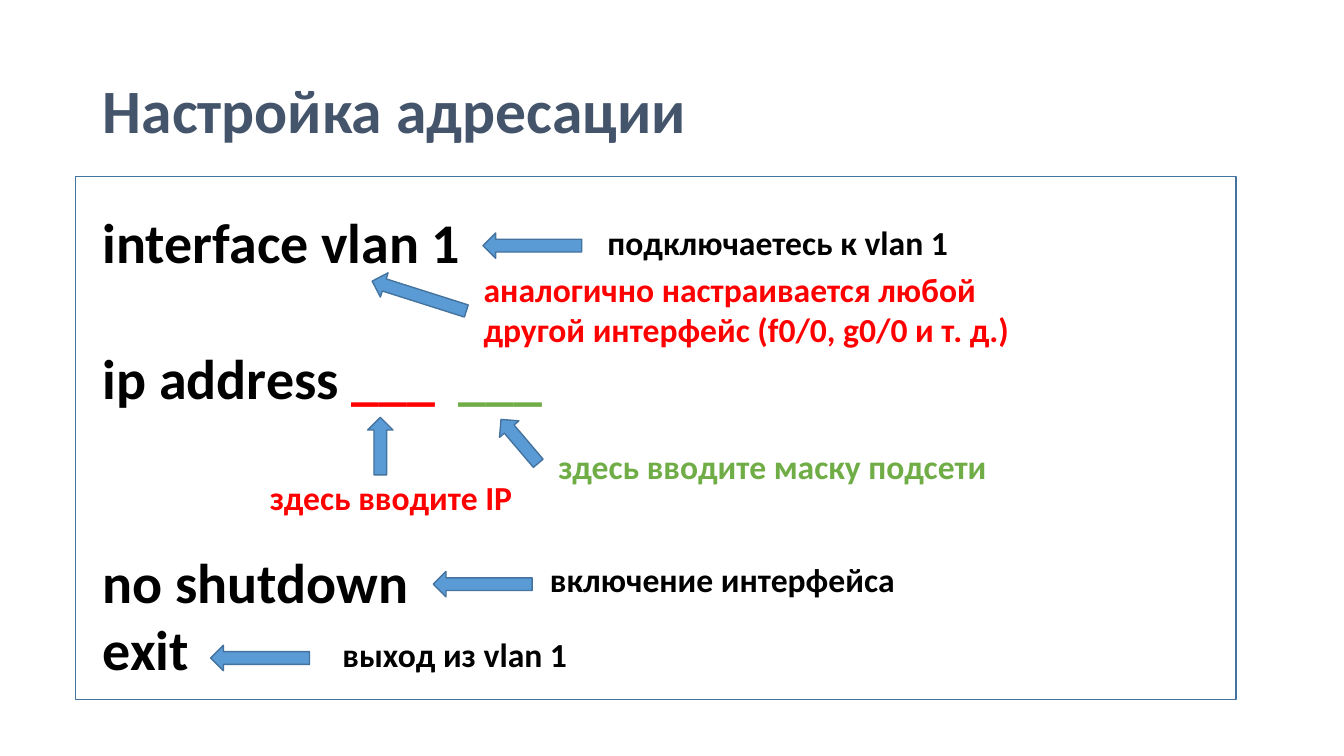
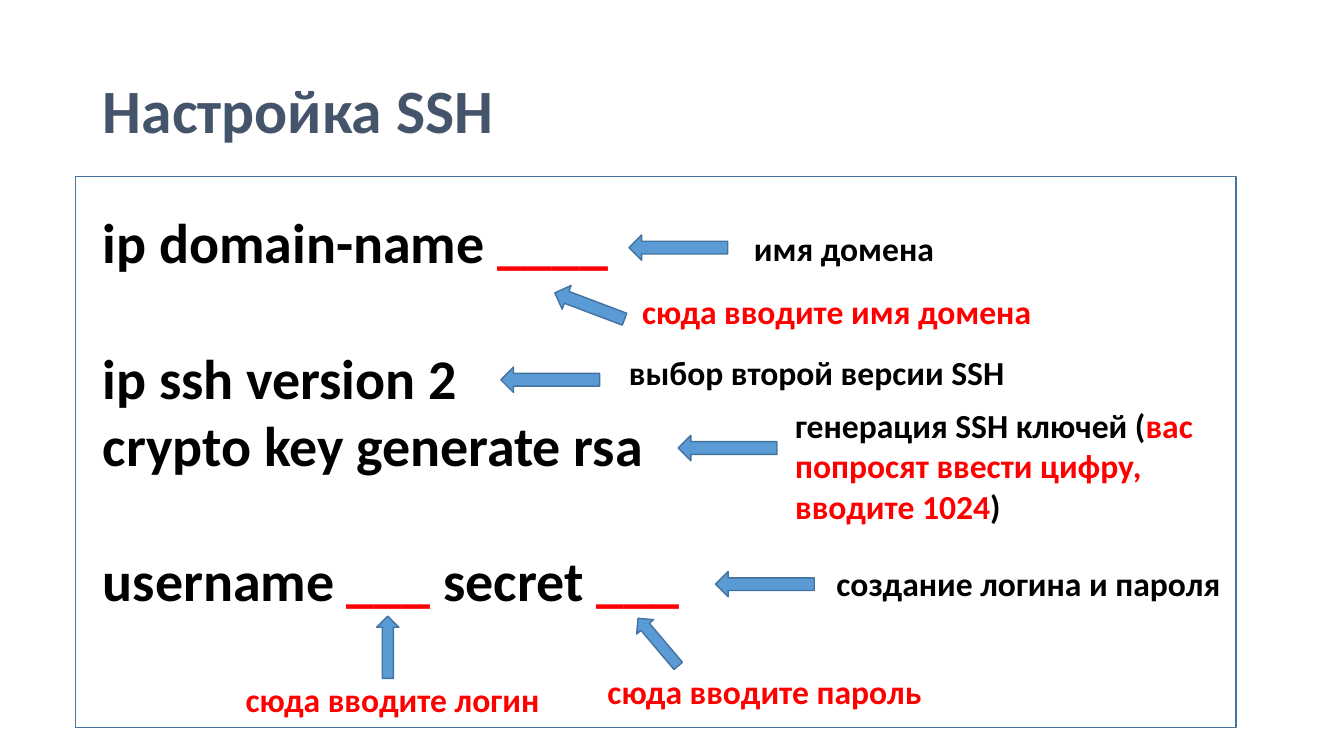
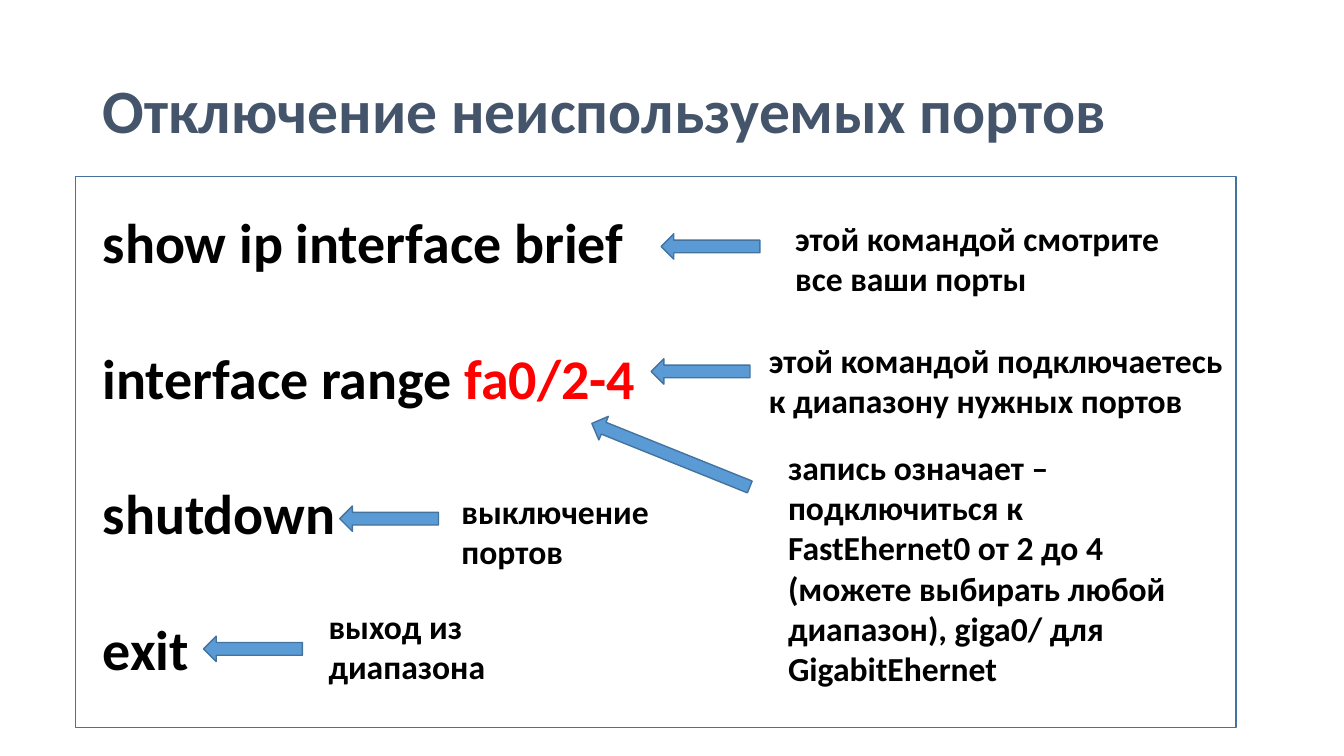
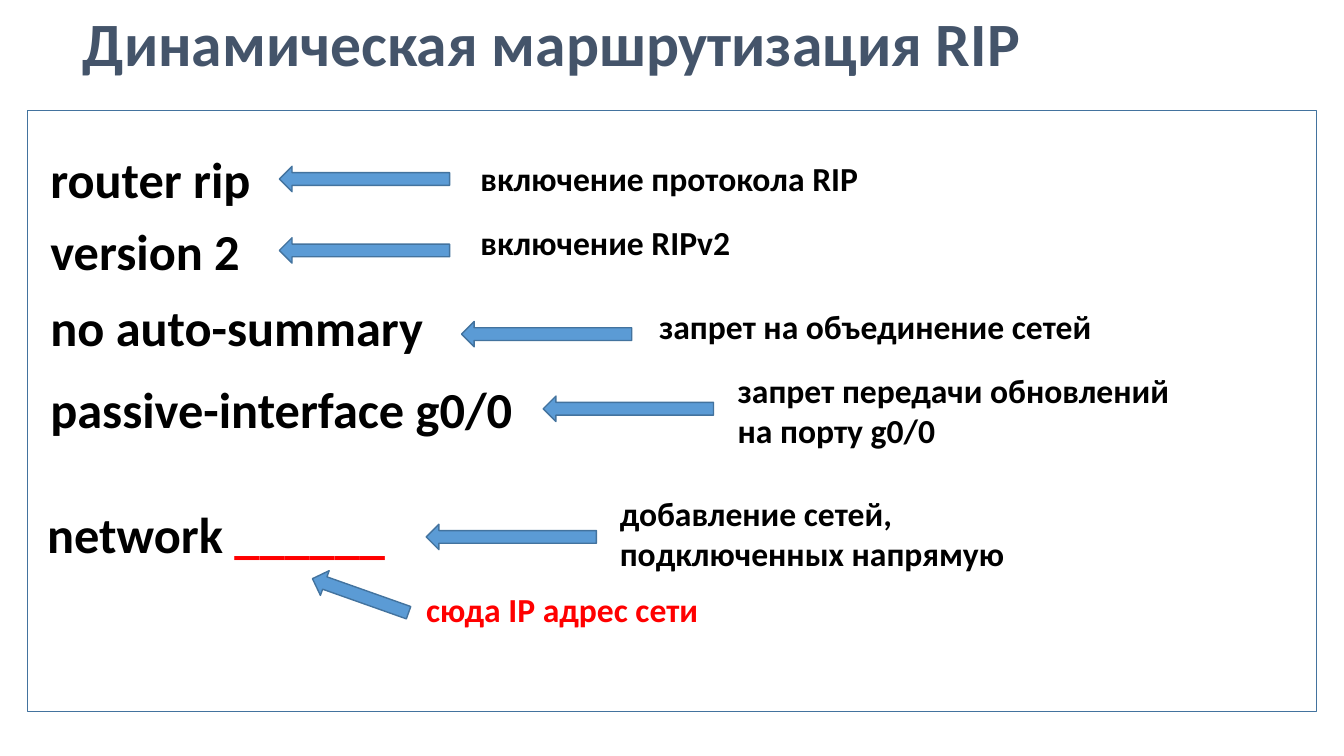
from lxml import etree
from pptx import Presentation
from pptx import util as u
from pptx.dml.color import RGBColor
from pptx.enum import shapes, text
from pptx.oxml.ns import qn

COLOURS = {
    "title": "44546A",
    "black": "000000",
    "red": "FF0000",
    "green": "70AD47",
    "arrow": "5B9BD5",
    "outline": "43739E",
}
FONT = "Calibri"
LINE_HEIGHT = 1.22      # line pitch as a multiple of the text size
MASK_TAB = 8.97         # tab stop before the subnet mask field, cm
SHORT, LONG = 2.49, 4.29  # the two usual arrow lengths, cm


def colour(name):
    return RGBColor.from_string(COLOURS[name])


class Lesson:
    """Holds the deck, its style and the current slide."""

    def __init__(self):
        self.deck = Presentation()
        self.deck.slide_width = u.Cm(33.87)
        self.deck.slide_height = u.Cm(19.05)
        self.page = None

    def start(self, heading, left=2.34, top=1.02):
        """Add a slide with its title."""
        self.page = self.deck.slides.add_slide(self.deck.slide_layouts[5])
        title = self.page.shapes.title
        title.left, title.top = u.Cm(left), u.Cm(top)
        title.width, title.height = u.Cm(29.21), u.Cm(3.68)
        frame = title.text_frame
        frame.auto_size = text.MSO_AUTO_SIZE.NONE
        frame.vertical_anchor = text.MSO_ANCHOR.MIDDLE
        para = frame.paragraphs[0]
        para.alignment = text.PP_ALIGN.LEFT
        para.line_spacing = 0.9
        self.span(para, heading, 44, "title")

    def span(self, para, words, size, tint):
        run = para.add_run()
        run.text = words
        run.font.name = FONT
        run.font.size = u.Pt(size)
        run.font.bold = True
        run.font.color.rgb = colour(tint)

    def preset(self, kind, left, top, width, height):
        """Add an outlined preset shape without shadow."""
        shape = self.page.shapes.add_shape(
            kind, u.Cm(left), u.Cm(top), u.Cm(width), u.Cm(height))
        shape.shadow.inherit = False
        shape.line.color.rgb = colour("outline")
        shape.line.width = u.Pt(1)
        return shape

    def border(self, height, left=1.91, top=4.45, width=29.24):
        box = self.preset(shapes.MSO_SHAPE.RECTANGLE, left, top, width, height)
        box.fill.background()

    def arrow(self, left, top, length=SHORT, angle=180, thickness=0.64):
        shape = self.preset(shapes.MSO_SHAPE.RIGHT_ARROW, left, top, length, thickness)
        shape.fill.solid()
        shape.fill.fore_color.rgb = colour("arrow")
        shape.rotation = angle

    def arrows(self, *places):
        for place in places:
            self.arrow(*place)

    def text(self, left, top, width, size, rows, lines):
        """Add text; a row is (empty lines above, span, ...), a span (words, colour)."""
        height = 0.25 + lines * u.Pt(size * LINE_HEIGHT).cm
        box = self.page.shapes.add_textbox(
            u.Cm(left), u.Cm(top), u.Cm(width), u.Cm(height))
        frame = box.text_frame
        frame.word_wrap = True
        frame.auto_size = text.MSO_AUTO_SIZE.SHAPE_TO_FIT_TEXT
        for index, (gap, *spans) in enumerate(rows):
            para = frame.add_paragraph() if index else frame.paragraphs[0]
            if gap:
                para.space_before = u.Pt(gap * size * LINE_HEIGHT)
            for words, tint in spans:
                if "\t" in words:
                    self.tab_stop(para)
                self.span(para, words, size, tint)

    def tab_stop(self, para):
        stops = etree.SubElement(para._p.get_or_add_pPr(), qn("a:tabLst"))
        etree.SubElement(stops, qn("a:tab"), pos=str(u.Cm(MASK_TAB)), algn="l")

    def commands(self, width, *rows):
        """Add the block of console commands."""
        self.text(2.34, 5.11, width, 40, rows, sum(row[0] + 1 for row in rows))

    def command(self, left, top, width, *spans):
        """Add a single console command."""
        self.text(left, top, width, 36, [(0, *spans)], 1)

    def note(self, left, top, paras, tint="black", width=12.01, lines=1):
        """Add an explanation, given as one string per paragraph."""
        rows = [(0, (words, tint)) for words in paras.split("\n")]
        self.text(left, top, width, 24, rows, lines)


def addressing(lesson):
    lesson.start("Настройка адресации")
    lesson.border(13.18)
    lesson.commands(
        14.71,
        (0, ("interface vlan 1", "black")),
        (1, ("ip address ", "black"), ("___\t", "red"), ("___", "green")),
        (2, ("no shutdown", "black")),
        (0, ("exit", "black")))
    lesson.arrows(
        (12.17, 5.87), (10.92, 14.4), (5.31, 16.26), (9.32, 7.14, SHORT, 197.6),
        (8.86, 10.92, 1.45, 270), (12.37, 10.8, 1.45, 229.7))
    lesson.note(15.06, 5.46, "подключаетесь к vlan 1", lines=2)
    lesson.note(11.94, 6.65,
                "аналогично настраивается любой другой интерфейс (f0/0, g0/0 и т. д.)",
                "red", width=15.16, lines=3)
    lesson.note(13.82, 11.1, "здесь вводите маску подсети", "green", width=17.07)
    lesson.note(6.55, 11.89, "здесь вводите IP", "red", width=6.99)
    lesson.note(13.61, 13.97, "включение интерфейса")
    lesson.note(8.38, 15.85, "выход из vlan 1")


def secure_shell(lesson):
    lesson.start("Настройка SSH")
    lesson.border(13.89)
    lesson.commands(
        17.27,
        (0, ("ip domain-name ", "black"), ("____", "red")),
        (1, ("ip ssh version 2", "black")),
        (0, ("crypto key generate rsa", "black")),
        (1, ("username", "black"), (" ___ ", "red"),
         ("secret ", "black"), ("___", "red")))
    lesson.arrows(
        (15.85, 5.92), (12.62, 9.25), (17.09, 10.97), (18.03, 14.4),
        (13.92, 7.39, 1.88, 200.7),
        (8.99, 16.03, 1.57, 270, 0.56), (15.8, 15.9, 1.57, 229.8, 0.56))
    lesson.note(18.75, 5.61, "имя домена")
    lesson.note(15.93, 7.21, "сюда вводите имя домена", "red", width=17.07)
    lesson.note(15.6, 8.74, "выбор второй версии SSH")
    key_note = (0, ("генерация SSH ключей (", "black"),
                ("вас попросят ввести цифру, вводите 1024", "red"), (")", "black"))
    lesson.text(19.79, 10.08, 12.01, 24, [key_note], 3)
    lesson.note(20.83, 14.07, "создание логина и пароля")
    lesson.note(5.94, 16.97, "сюда вводите логин", "red")
    lesson.note(15.06, 16.79, "сюда вводите пароль", "red")


def unused_ports(lesson):
    lesson.start("Отключение неиспользуемых портов")
    lesson.border(13.89)
    lesson.commands(
        17.45,
        (0, ("show ip interface brief", "black")),
        (1, ("interface range ", "black"), ("fa0/2-4", "red")),
        (1, ("shutdown", "black")),
        (1, ("exit", "black")))
    lesson.arrows(
        (16.66, 5.89), (16.41, 9.04), (8.56, 12.75), (5.13, 16.03),
        (14.76, 11.15, LONG, 201.9))
    lesson.note(19.79, 5.36, "этой командой смотрите\nвсе ваши порты", lines=2)
    lesson.note(19.13, 8.43,
                "этой командой подключаетесь\nк диапазону нужных портов", lines=2)
    lesson.note(19.61, 11.13,
                "запись означает – подключиться к FastEhernet0 от 2 до 4 "
                "(можете выбирать любой диапазон), giga0/ для GigabitEhernet",
                width=10.08, lines=6)
    lesson.note(11.38, 12.24, "выключение портов", width=6.05, lines=2)
    lesson.note(8.03, 15.14, "выход из диапазона", width=6.05, lines=2)


def dynamic_routing(lesson):
    lesson.start("Динамическая маршрутизация RIP", 1.83, -0.66)
    lesson.border(15.14, 0.69, 2.79, 32.49)
    for top, width, words in (
            (3.61, 6.17, "router rip"),
            (5.41, 6.17, "version 2"),
            (7.34, 10.62, "no auto-summary"),
            (9.4, 12.88, "passive-interface g0/0")):
        lesson.command(1.02, top, width, (words, "black"))
    lesson.command(0.94, 12.55, 9.47, ("network ", "black"), ("______", "red"))
    for left, top in ((7.04, 4.19), (7.04, 5.99), (11.63, 8.1),
                      (13.69, 9.98), (10.74, 13.21)):
        lesson.arrow(left, top, LONG)
    lesson.arrow(7.8, 14.68, 2.57, 199.5, 0.66)
    lesson.note(11.86, 3.86, "включение протокола RIP", width=10.16)
    lesson.note(11.86, 5.46, "включение RIPv2", width=10.16)
    lesson.note(16.36, 7.59, "запрет на объединение сетей", width=11.73)
    lesson.note(18.34, 9.19, "запрет передачи обновлений на порту g0/0",
                width=11.73, lines=2)
    lesson.note(15.37, 12.29, "добавление сетей, подключенных напрямую",
                width=11.73, lines=2)
    lesson.note(10.49, 14.71, "сюда IP адрес сети", "red", width=7.49)


def main():
    lesson = Lesson()
    for build in (addressing, secure_shell, unused_ports, dynamic_routing):
        build(lesson)
    lesson.deck.save("out.pptx")


if __name__ == "__main__":
    main()
